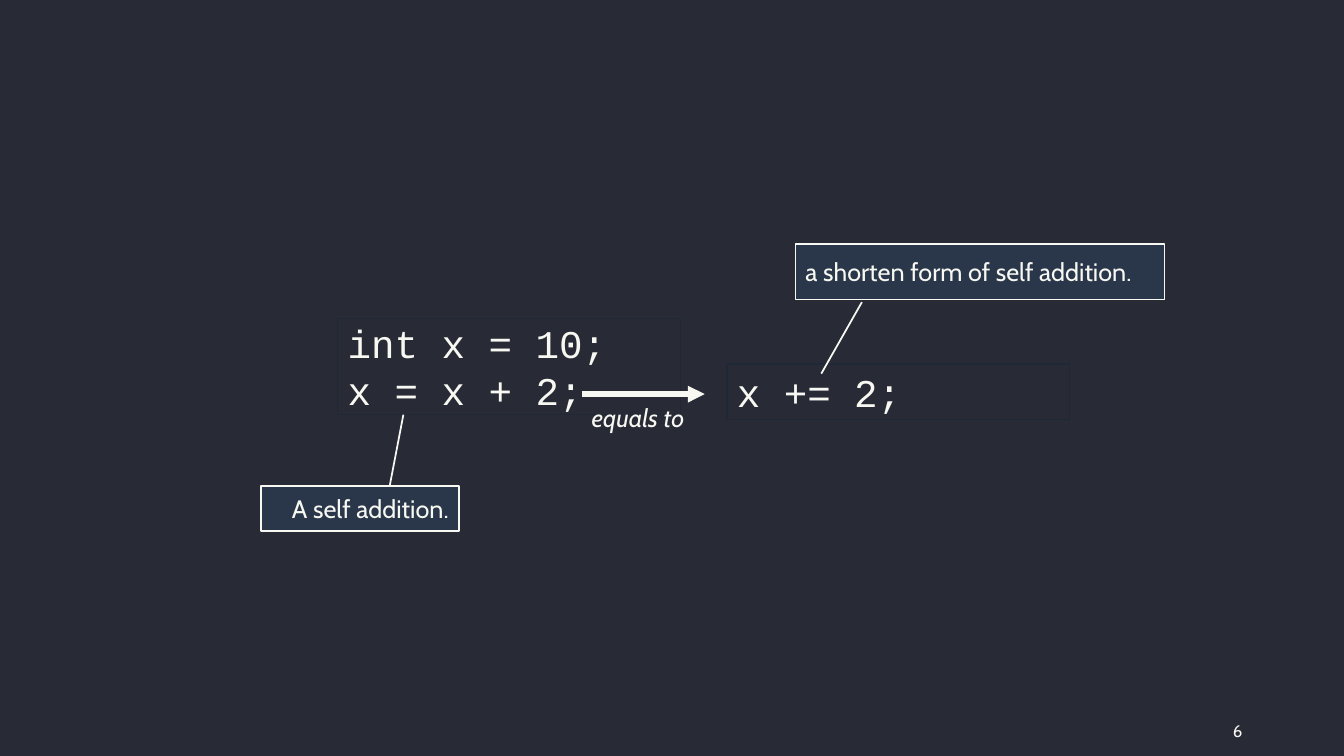
from lxml.etree import SubElement
from pptx import Presentation
from pptx.dml.color import RGBColor
from pptx.enum.shapes import MSO_CONNECTOR, MSO_SHAPE
from pptx.enum.text import MSO_ANCHOR, MSO_AUTO_SIZE, PP_ALIGN
from pptx.oxml.ns import qn
from pptx.util import Inches, Pt

BACKGROUND = "282A36"
FOREGROUND = "F8F8F2"
CODE_BORDER = "1F2837"
CALLOUT_FILL = "2A364A"

CODE_FONT = {"name": "Courier New", "size": Pt(28)}
LABEL_FONT = {"name": "Cabin", "size": Pt(18)}
NUMBER_FONT = {"name": "Cabin", "size": Pt(12)}


def color(hex_value):
    return RGBColor.from_string(hex_value)


def write(shape, lines, font, align=PP_ALIGN.LEFT, anchor=MSO_ANCHOR.MIDDLE):
    frame = shape.text_frame
    frame.word_wrap = True
    frame.vertical_anchor = anchor
    for index, line in enumerate(lines):
        para = frame.add_paragraph() if index else frame.paragraphs[0]
        para.alignment = align
        span = para.add_run()
        span.text = line
        for name, value in font.items():
            setattr(span.font, name, value)
        span.font.color.rgb = color(FOREGROUND)


def add_outlined(page, preset, place, border, width):
    shape = page.shapes.add_shape(preset, *map(Inches, place))
    shape.shadow.inherit = False
    shape.fill.background()
    shape.line.color.rgb = color(border)
    shape.line.width = Pt(width)
    return shape


def add_code(page, place, lines):
    box = add_outlined(page, MSO_SHAPE.RECTANGLE, place, CODE_BORDER, 1)
    write(box, lines, CODE_FONT)


def add_callout(page, place, pointer, text, align):
    """Pointer holds y, x of its start and y, x of its end, as shares of the box."""
    box = add_outlined(page, MSO_SHAPE.LINE_CALLOUT_1, place, FOREGROUND, 1.25)
    box.fill.solid()
    box.fill.fore_color.rgb = color(CALLOUT_FILL)
    for index, share in enumerate(pointer):
        box.adjustments[index] = share
    write(box, [text], LABEL_FONT, align)


def add_label(page, place, text, font, **layout):
    box = page.shapes.add_textbox(*map(Inches, place))
    write(box, [text], font, **layout)
    return box


def add_arrow(page, left, right, top):
    arrow = page.shapes.add_connector(
        MSO_CONNECTOR.STRAIGHT, Inches(left), Inches(top), Inches(right), Inches(top))
    arrow.line.color.rgb = color(FOREGROUND)
    arrow.line.width = Pt(4)
    SubElement(arrow.line._get_or_add_ln(), qn("a:tailEnd"), type="triangle")
    SubElement(arrow._element.spPr, qn("a:effectLst"))


def main():
    deck = Presentation()
    deck.slide_width, deck.slide_height = Inches(13.33), Inches(7.5)
    page = deck.slides.add_slide(deck.slide_layouts[6])
    page.background.fill.solid()
    page.background.fill.fore_color.rgb = color(BACKGROUND)

    add_label(page, (11.68, 7.05, 0.74, 0.4), "6", NUMBER_FONT, align=PP_ALIGN.RIGHT)
    add_code(page, (3.35, 3.16, 3.4, 0.95), ["int x = 10;", "x = x + 2;"])
    add_code(page, (7.21, 3.61, 3.4, 0.55), ["x += 2;"])
    add_arrow(page, 5.77, 6.99, 3.91)
    equals = add_label(page, (5.77, 3.94, 1.22, 0.4), "equals to",
                       {**LABEL_FONT, "italic": True}, anchor=MSO_ANCHOR.TOP)
    equals.text_frame.word_wrap = False
    equals.text_frame.auto_size = MSO_AUTO_SIZE.SHAPE_TO_FIT_TEXT
    add_callout(page, (2.59, 4.82, 1.96, 0.45), (0.02, 0.65, -1.57, 0.72),
                "A self addition.", PP_ALIGN.RIGHT)
    add_callout(page, (7.89, 2.42, 3.66, 0.55), (1.05, 0.18, 2.34, 0.07),
                "a shorten form of self addition.", PP_ALIGN.LEFT)
    deck.save("out.pptx")


if __name__ == "__main__":
    main()
